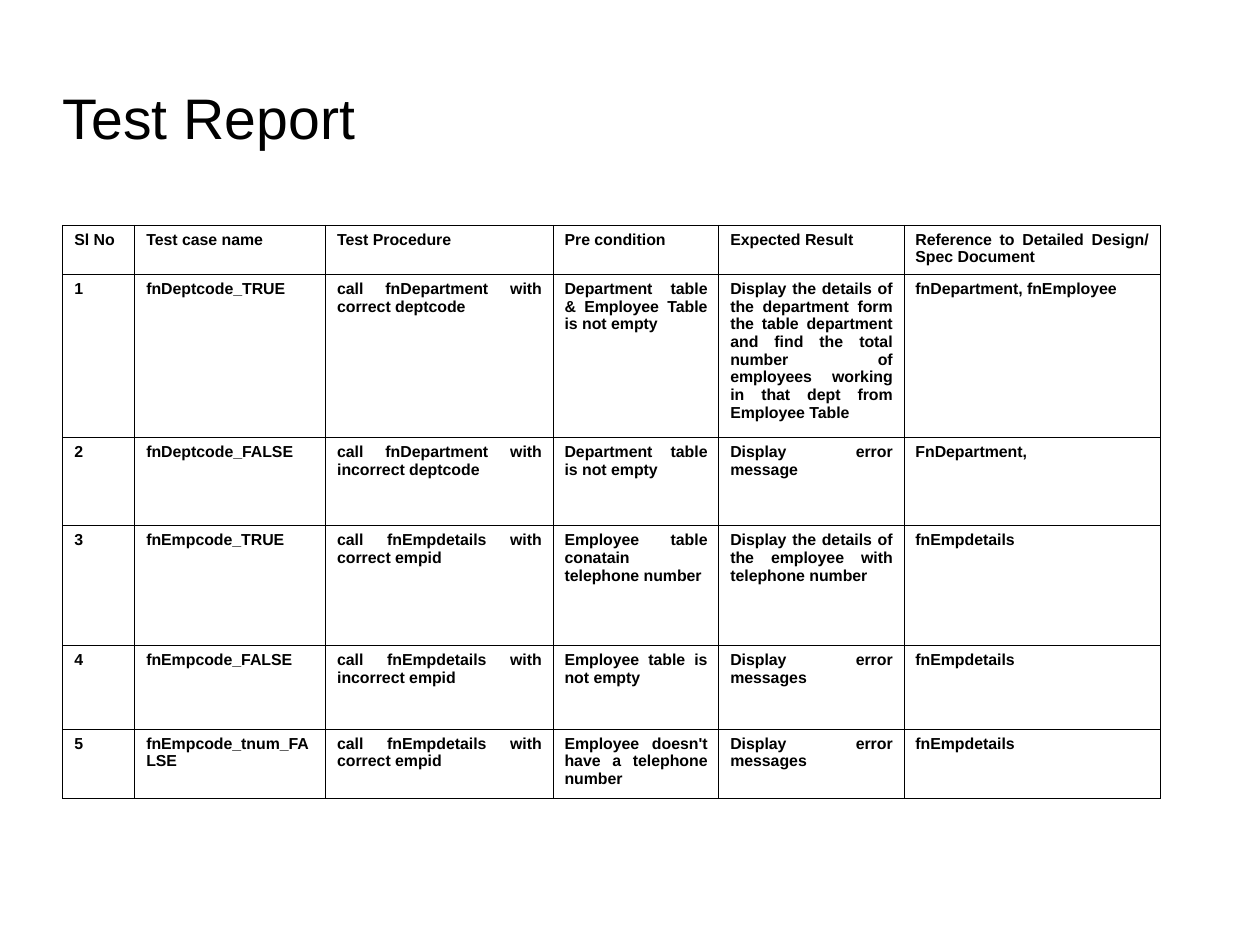
from pptx import Presentation
from pptx.dml.color import RGBColor
from pptx.enum.text import MSO_ANCHOR, MSO_AUTO_SIZE, PP_ALIGN
from pptx.oxml import parse_xml
from pptx.oxml.ns import nsdecls
from pptx.util import Inches, Pt

MIDDLE = MSO_ANCHOR.MIDDLE
TOP = MSO_ANCHOR.TOP
NO_FIT = MSO_AUTO_SIZE.NONE
LEFT = PP_ALIGN.LEFT
JUSTIFY = PP_ALIGN.JUSTIFY

BLACK = RGBColor(0x00, 0x00, 0x00)
FONT = "Arial"
EDGE = Pt(0.57)

# The page is 28 by 21 cm
PAGE_W = Inches(28 / 2.54)
PAGE_H = Inches(21 / 2.54)

WIDTHS = [0.63, 1.67, 1.99, 1.45, 1.62, 2.24]
HEIGHTS = [0.43, 1.43, 0.77, 1.05, 0.73, 0.61]

HEAD = ["Sl No", "Test case name", "Test Procedure", "Pre condition",
        "Expected Result", "Reference to Detailed Design/ Spec Document"]
CASES = [
    ["fnDeptcode_TRUE", "call fnDepartment with correct deptcode",
     "Department table & Employee Table is not empty",
     "Display the details of the department form the table department and "
     "find the total number of employees working in that dept from "
     "Employee Table",
     "fnDepartment, fnEmployee"],
    ["fnDeptcode_FALSE", "call fnDepartment with incorrect deptcode",
     "Department table is not empty", "Display error message",
     "FnDepartment,"],
    ["fnEmpcode_TRUE", "call fnEmpdetails with correct empid",
     "Employee table conatain telephone number",
     "Display the details of the employee with telephone number",
     "fnEmpdetails"],
    ["fnEmpcode_FALSE", "call fnEmpdetails with incorrect empid",
     "Employee table is not empty", "Display error messages",
     "fnEmpdetails"],
    ["fnEmpcode_tnum_FALSE", "call fnEmpdetails with correct empid",
     "Employee doesn't have a telephone number", "Display error messages",
     "fnEmpdetails"],
]


def add_run(para, text, size, bold=False):
    run = para.add_run()
    run.text = text
    font = run.font
    font.name = FONT
    font.size = Pt(size)
    font.bold = bold
    font.color.rgb = BLACK


def set_title(slide, text):
    title = slide.shapes.title
    title.left, title.top = Inches(0.55), Inches(0.63)
    title.width, title.height = Inches(7.87), Inches(0.79)
    frame = title.text_frame
    frame.auto_size = NO_FIT
    frame.word_wrap = True
    frame.vertical_anchor = MIDDLE
    frame.margin_left = frame.margin_right = 0
    frame.margin_top = frame.margin_bottom = 0
    para = frame.paragraphs[0]
    para.alignment = LEFT
    add_run(para, text, 36)


def set_edges(cell):
    props = cell._tc.get_or_add_tcPr()
    for side in ("lnL", "lnR", "lnT", "lnB"):
        props.append(parse_xml(
            f'<a:{side} {nsdecls("a")} w="{EDGE}"><a:solidFill>'
            f'<a:srgbClr val="{BLACK}"/></a:solidFill></a:{side}>'))


def fill_cell(cell, text):
    set_edges(cell)
    cell.fill.background()
    cell.vertical_anchor = TOP
    cell.margin_left = cell.margin_right = Inches(0.1)
    cell.margin_top = cell.margin_bottom = Inches(0.05)
    para = cell.text_frame.paragraphs[0]
    para.alignment = JUSTIFY
    add_run(para, text, 10, bold=True)


def add_grid(slide, rows):
    frame = slide.shapes.add_table(
        len(rows), len(HEAD), Inches(0.55), Inches(1.97),
        Inches(sum(WIDTHS)), Inches(sum(HEIGHTS)))
    table = frame.table
    table.first_row = table.horz_banding = False
    for col, width in zip(table.columns, WIDTHS):
        col.width = Inches(width)
    for row, height, texts in zip(table.rows, HEIGHTS, rows):
        row.height = Inches(height)
        for cell, text in zip(row.cells, texts):
            fill_cell(cell, text)


def main():
    deck = Presentation()
    deck.slide_width, deck.slide_height = PAGE_W, PAGE_H
    # Title Only layout
    slide = deck.slides.add_slide(deck.slide_layouts[5])
    set_title(slide, "Test Report")
    # Header row, then the numbered test cases
    cases = [[str(num), *case] for num, case in enumerate(CASES, 1)]
    add_grid(slide, [HEAD, *cases])
    deck.save("out.pptx")


if __name__ == "__main__":
    main()
